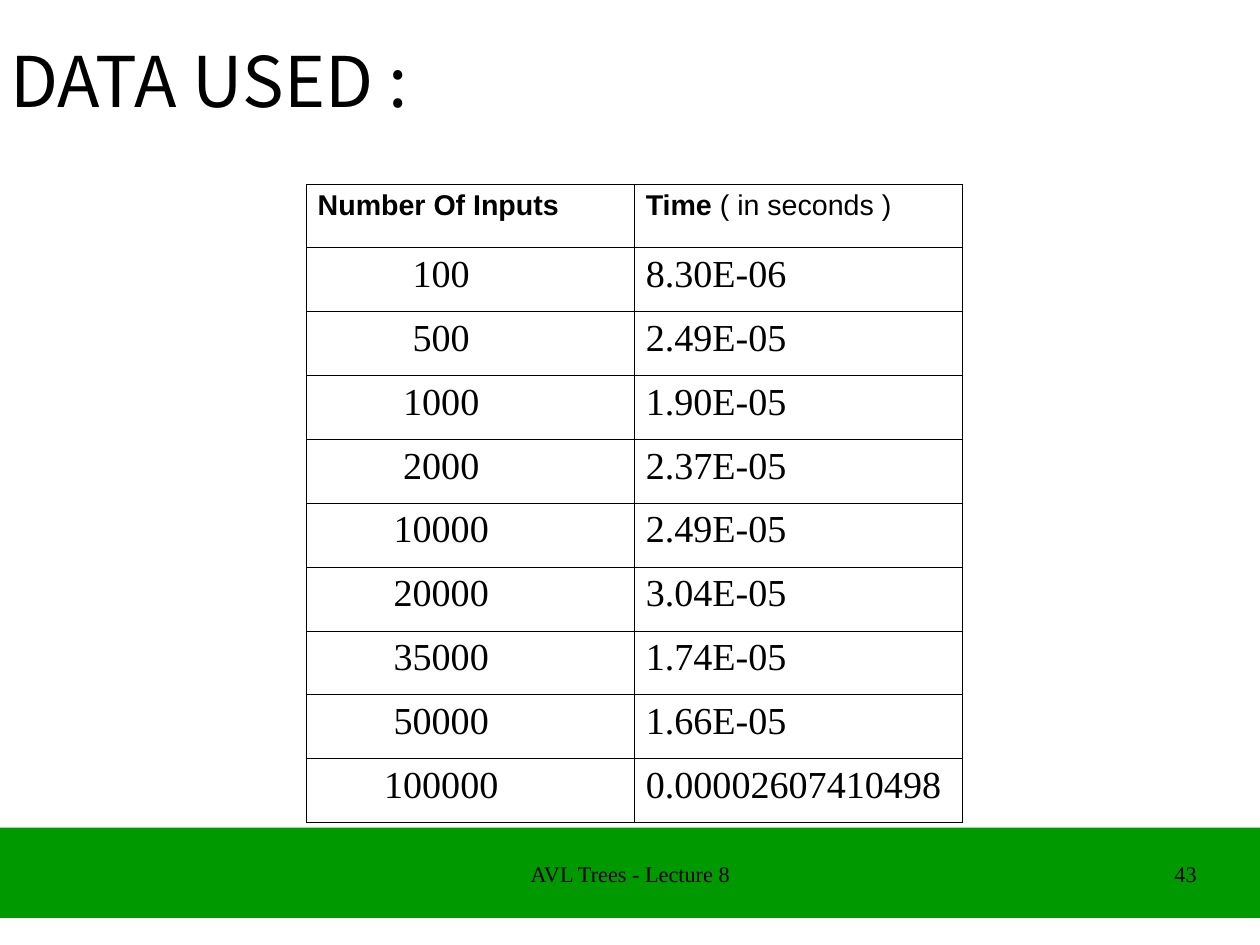
"""Build the slide that tabulates measured times by number of inputs."""
from dataclasses import dataclass

from lxml import etree
from pptx import Presentation
from pptx.dml.color import RGBColor
from pptx.enum.shapes import MSO_SHAPE
from pptx.enum.text import MSO_ANCHOR, MSO_AUTO_SIZE, PP_ALIGN
from pptx.oxml.ns import qn
from pptx.util import Inches, Pt

RECTANGLE = MSO_SHAPE.RECTANGLE
TOP = MSO_ANCHOR.TOP
NO_FIT = MSO_AUTO_SIZE.NONE
LEFT, CENTER, RIGHT = PP_ALIGN.LEFT, PP_ALIGN.CENTER, PP_ALIGN.RIGHT

COLORS = {"ink": "000000", "band": "009900"}
TITLE_FONT = {"name": "Noto Sans CJK SC", "size": Pt(44), "bold": False}
HEADING_FONT = {"name": "Arial", "size": Pt(18), "bold": True}
UNIT_FONT = HEADING_FONT | {"bold": False}
VALUE_FONT = {"name": "Times New Roman", "size": Pt(24), "bold": False}
FOOTER_FONT = VALUE_FONT | {"size": Pt(14)}

PADDING = {"margin_left": Inches(0.1), "margin_right": Inches(0.1),
           "margin_top": Inches(0.05), "margin_bottom": Inches(0.05)}
NO_PADDING = dict.fromkeys(PADDING, 0)
FRAME = {"word_wrap": True, "auto_size": NO_FIT, "vertical_anchor": TOP}
COUNT_PADDING = PADDING | {"margin_right": Inches(0.61)}
PLAIN_TABLE = {"first_row": False, "horz_banding": False}

CM_PER_INCH = 2.54
SLIDE_WIDTH, SLIDE_HEIGHT = 28 / CM_PER_INCH, 21 / CM_PER_INCH
COLUMN_WIDTH, TABLE_HEIGHT = 2.87, 5.59
BORDER_WIDTH = Pt(0.57)

MEASUREMENTS = [
    ("100", "8.30E-06"),
    ("500", "2.49E-05"),
    ("1000", "1.90E-05"),
    ("2000", "2.37E-05"),
    ("10000", "2.49E-05"),
    ("20000", "3.04E-05"),
    ("35000", "1.74E-05"),
    ("50000", "1.66E-05"),
    ("100000", "0.00002607410498"),
]


@dataclass(frozen=True)
class Entry:
    runs: tuple
    align: PP_ALIGN = LEFT
    padding: tuple = tuple(PADDING.items())


@dataclass(frozen=True)
class FooterPart:
    text: str
    left: float
    width: float
    align: PP_ALIGN


FOOTER = [
    FooterPart("AVL Trees - Lecture 8", 3.77, 3.49, CENTER),
    FooterPart("43", 7.9, 2.57, RIGHT),
]


def set_format(target, values: dict) -> None:
    for name, value in values.items():
        setattr(target, name, value)


def write(paragraph, runs: tuple, align: PP_ALIGN) -> None:
    paragraph.alignment = align
    for text, font in runs:
        run = paragraph.add_run()
        run.text = text
        set_format(run.font, font)
        run.font.color.rgb = RGBColor.from_string(COLORS["ink"])


def draw_borders(cell) -> None:
    properties = cell._tc.get_or_add_tcPr()
    for position, side in enumerate(("a:lnL", "a:lnR", "a:lnT", "a:lnB")):
        border = etree.Element(qn(side), w=str(BORDER_WIDTH))
        fill = etree.SubElement(border, qn("a:solidFill"))
        etree.SubElement(fill, qn("a:srgbClr"), val=COLORS["ink"])
        properties.insert(position, border)


def draw_band(slide) -> None:
    band = slide.shapes.add_shape(RECTANGLE, 0, Inches(7.24),
                                  Inches(SLIDE_WIDTH), Inches(0.79))
    band.shadow.inherit = False
    band.fill.solid()
    band.fill.fore_color.rgb = RGBColor.from_string(COLORS["band"])
    band.line.fill.background()


def draw_title(slide) -> None:
    title = slide.shapes.title
    set_format(title, {"left": Inches(-0.01), "top": Inches(0.28),
                       "width": Inches(4.03), "height": Inches(1.91)})
    set_format(title.text_frame, FRAME | PADDING)
    write(title.text_frame.paragraphs[0], (("DATA USED :", TITLE_FONT),), LEFT)


def draw_timings(slide) -> None:
    headings = (Entry((("Number Of Inputs", HEADING_FONT),)),
                Entry((("Time", HEADING_FONT), (" ( in seconds )", UNIT_FONT))))
    count_padding = tuple(COUNT_PADDING.items())
    entries = [headings] + [
        (Entry(((count, VALUE_FONT),), CENTER, count_padding),
         Entry(((seconds, VALUE_FONT),)))
        for count, seconds in MEASUREMENTS
    ]
    timings = slide.shapes.add_table(
        len(entries), len(headings), Inches(2.68), Inches(1.61),
        Inches(COLUMN_WIDTH * len(headings)), Inches(TABLE_HEIGHT)).table
    set_format(timings, PLAIN_TABLE)
    for row, row_entries in enumerate(entries):
        for column, entry in enumerate(row_entries):
            cell = timings.cell(row, column)
            set_format(cell, dict(entry.padding) | {"vertical_anchor": TOP})
            cell.fill.background()
            draw_borders(cell)
            write(cell.text_frame.paragraphs[0], entry.runs, entry.align)


def draw_footer(slide, part: FooterPart) -> None:
    footer = slide.shapes.add_textbox(Inches(part.left), Inches(7.53),
                                      Inches(part.width), Inches(0.57))
    set_format(footer.text_frame, FRAME | NO_PADDING)
    write(footer.text_frame.paragraphs[0], ((part.text, FOOTER_FONT),), part.align)


def main() -> None:
    presentation = Presentation()
    presentation.slide_width = Inches(SLIDE_WIDTH)
    presentation.slide_height = Inches(SLIDE_HEIGHT)
    slide = presentation.slides.add_slide(presentation.slide_layouts[5])
    draw_band(slide)
    draw_timings(slide)
    draw_title(slide)
    for part in FOOTER:
        draw_footer(slide, part)
    presentation.save("out.pptx")


if __name__ == "__main__":
    main()
